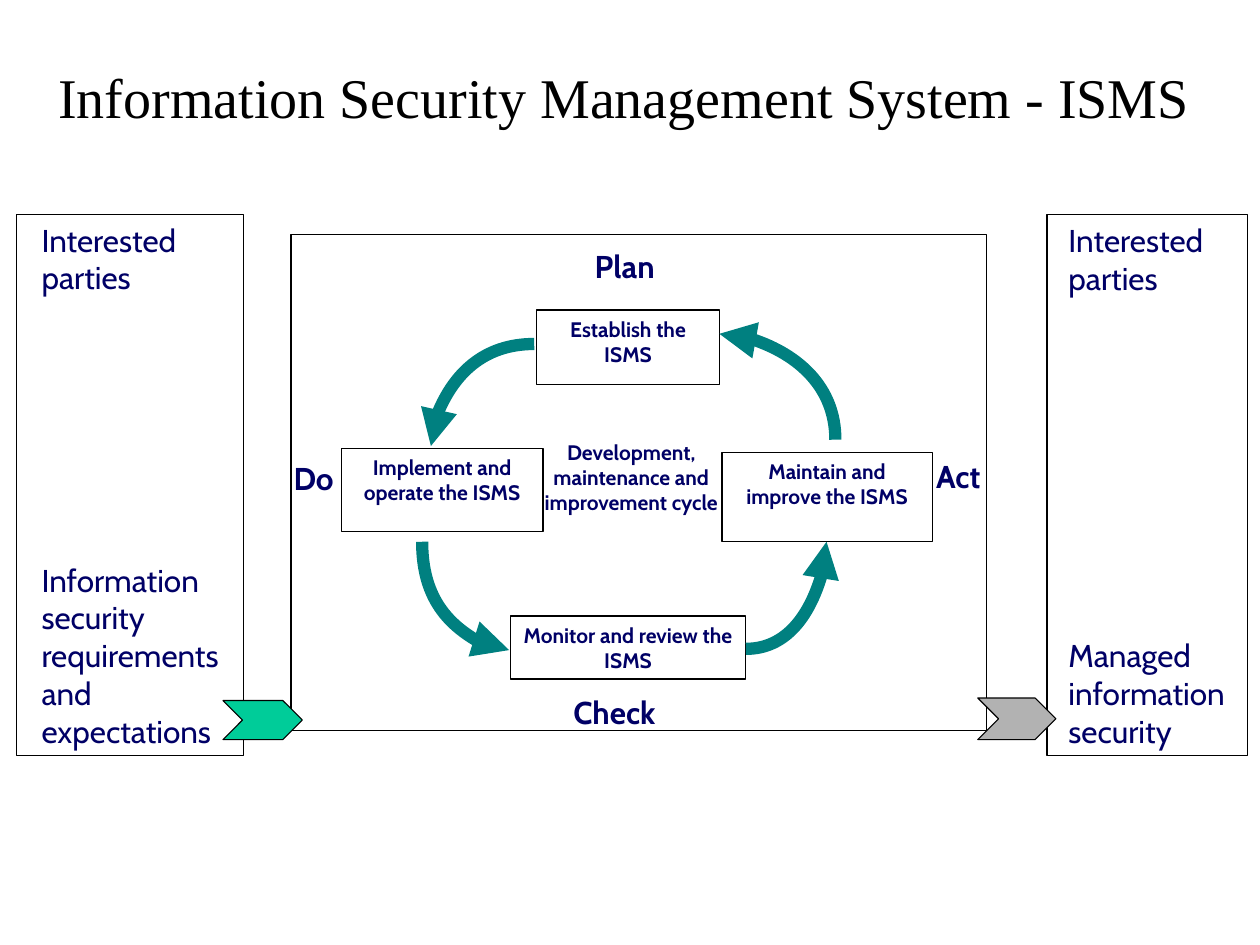
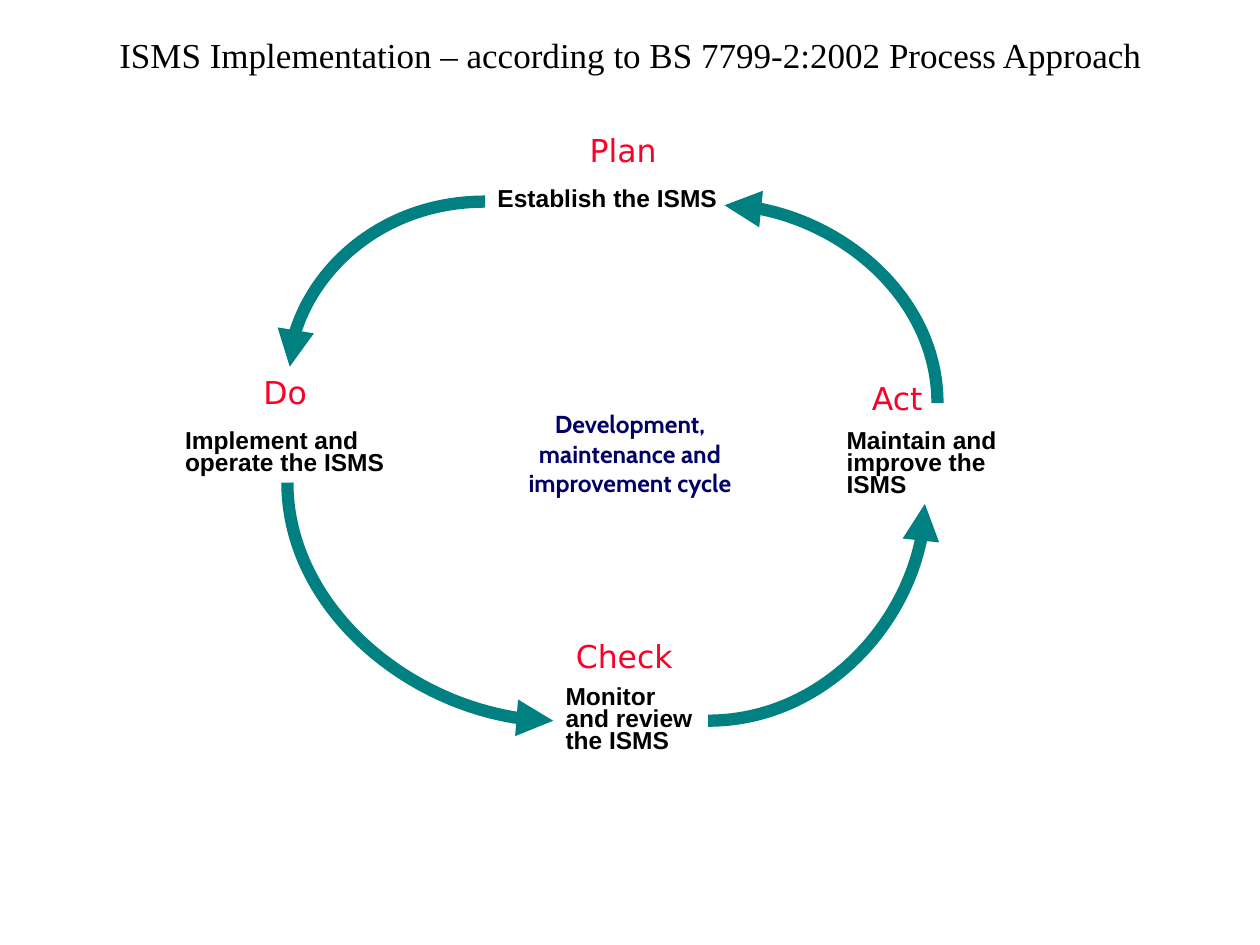
from typing import NamedTuple

from lxml.etree import SubElement
from pptx import Presentation
from pptx.dml.color import RGBColor
from pptx.enum.shapes import MSO_CONNECTOR, MSO_SHAPE
from pptx.enum.text import MSO_ANCHOR, PP_ALIGN
from pptx.oxml.ns import qn
from pptx.util import Inches, Pt

NAVY, BLACK, WHITE, RED = "000066", "000000", "FFFFFF", "FC0128"
TEAL, GREEN, GREY = "008080", "00CC99", "B2B2B2"


class Area(NamedTuple):
    left: float
    top: float
    width: float
    height: float


class Style(NamedTuple):
    font: str
    size: float
    color: str
    bold: bool = False
    align: PP_ALIGN = PP_ALIGN.LEFT
    spacing: float = 1.0


class Caption(NamedTuple):
    text: str
    area: Area


class Party(NamedTuple):
    need: str
    area: Area
    inset: float
    gap: float


class Arrow(NamedTuple):
    start: tuple[float, float]
    end: tuple[float, float]
    leaves_vertically: bool = False


class Chevron(NamedTuple):
    area: Area
    color: str


PARTY = Style("Cabin", 18, NAVY)
PHASE = Style("Cabin", 18, NAVY, bold=True)
STEP = Style("Cabin", 12, NAVY, bold=True, align=PP_ALIGN.CENTER)
CYCLE = STEP._replace(size=14)
RED_PHASE = Style("DejaVu Sans", 18, RED)
PLAIN_STEP = Style("Arial", 14, BLACK, bold=True, spacing=0.75)
PHASE_INDENT = 0.26
CYCLE_TEXT = "Development, maintenance and improvement cycle"

PARTIES = [
    Party("Managed information security", Area(8.31, 1.7, 1.59, 4.3), 0.17, 194),
    Party("Information security requirements and expectations",
          Area(0.13, 1.7, 1.8, 4.3), 0.2, 151),
]
PHASES = [
    Caption("Plan", Area(4.72, 1.96, 0.55, 0.3)),
    Caption("Do", Area(2.33, 3.64, 0.34, 0.3)),
    Caption("Check", Area(4.55, 5.5, 0.88, 0.3)),
    Caption("Act", Area(7.43, 3.63, 0.41, 0.3)),
]
STEPS = [
    Caption("Implement and operate the ISMS", Area(2.71, 3.56, 1.6, 0.66)),
    Caption("Maintain and improve the ISMS", Area(5.73, 3.59, 1.67, 0.71)),
    Caption("Establish the ISMS", Area(4.26, 2.46, 1.45, 0.59)),
    Caption("Monitor and review the ISMS", Area(4.05, 4.89, 1.87, 0.5)),
]
CHEVRONS = [
    Chevron(Area(7.76, 5.54, 0.62, 0.33), GREY),
    Chevron(Area(1.77, 5.56, 0.63, 0.31), GREEN),
]
ISMS_ARROWS = [
    Arrow((4.24, 2.73), (3.42, 3.54)),
    Arrow((3.35, 4.3), (4.04, 5.16), leaves_vertically=True),
    Arrow((5.92, 5.15), (6.56, 4.3)),
    Arrow((6.63, 3.49), (5.71, 2.65), leaves_vertically=True),
]
RED_PHASES = [
    Caption("Plan", Area(4.42, 0.99, 1.17, 0.4)),
    Caption("Do", Area(1.83, 2.91, 0.95, 0.4)),
    Caption("Check", Area(4.31, 5.01, 1.22, 0.4)),
    Caption("Act", Area(6.66, 2.96, 1.31, 0.4)),
]
PLAIN_STEPS = [
    Caption("Establish the ISMS", Area(3.85, 1.46, 2.26, 0.27)),
    Caption("Implement and operate the ISMS", Area(1.37, 3.38, 1.82, 0.45)),
    Caption("Monitor and review the ISMS", Area(4.39, 5.41, 1.24, 0.62)),
    Caption("Maintain and improve the ISMS", Area(6.62, 3.38, 1.45, 0.62)),
]
PROCESS_ARROWS = [
    Arrow((3.85, 1.6), (2.3, 2.91)),
    Arrow((2.28, 3.83), (4.39, 5.72), leaves_vertically=True),
    Arrow((5.62, 5.72), (7.34, 4)),
    Arrow((7.44, 3.2), (5.75, 1.63), leaves_vertically=True),
]


def rgb(color: str) -> RGBColor:
    return RGBColor.from_string(color)


def inches(area: Area) -> list[int]:
    return [Inches(length) for length in area]


def style_paragraph(paragraph, style: Style) -> None:
    paragraph.alignment = style.align
    paragraph.line_spacing = style.spacing
    for run in paragraph.runs:
        run.font.name = style.font
        run.font.size = Pt(style.size)
        run.font.bold = style.bold
        run.font.color.rgb = rgb(style.color)


def write(shape, text: str, style: Style, anchor=MSO_ANCHOR.TOP) -> None:
    frame = shape.text_frame
    frame.word_wrap = True
    frame.vertical_anchor = anchor
    frame.text = text
    for paragraph in frame.paragraphs:
        style_paragraph(paragraph, style)


def add_label(slide, caption: Caption, style: Style, anchor=MSO_ANCHOR.TOP):
    label = slide.shapes.add_textbox(*inches(caption.area))
    write(label, caption.text, style, anchor)
    return label


def add_title(slide, caption: Caption, size: float) -> None:
    style = Style("Times New Roman", size, BLACK, align=PP_ALIGN.CENTER)
    add_label(slide, caption, style, MSO_ANCHOR.MIDDLE)


def add_outlined(slide, area: Area, fill: str | None = WHITE,
                 weight: float = 0.75, kind=MSO_SHAPE.RECTANGLE):
    shape = slide.shapes.add_shape(kind, *inches(area))
    shape.shadow.inherit = False
    if fill:
        shape.fill.solid()
        shape.fill.fore_color.rgb = rgb(fill)
    else:
        shape.fill.background()
    shape.line.color.rgb = rgb(BLACK)
    shape.line.width = Pt(weight)
    return shape


def add_party(slide, party: Party) -> None:
    panel = add_outlined(slide, party.area, weight=0.62)
    panel.text_frame.margin_left = Inches(party.inset)
    write(panel, f"Interested parties\n{party.need}", PARTY, MSO_ANCHOR.MIDDLE)
    panel.text_frame.paragraphs[1].space_before = Pt(party.gap)


def add_phase(slide, caption: Caption) -> None:
    frame = add_label(slide, caption, PHASE).text_frame
    frame.margin_left = frame.margin_right = 0
    frame.margin_top = frame.margin_bottom = 0
    frame.word_wrap = False


def add_arrow(slide, arrow: Arrow) -> None:
    (x1, y1), (x2, y2) = arrow.start, arrow.end
    half_x, half_y = (x2 - x1) / 2, (y2 - y1) / 2
    center_x, center_y = (x1 + x2) / 2, (y1 + y2) / 2
    if arrow.leaves_vertically:
        half_x, half_y = -half_y, half_x
    curve = slide.shapes.add_connector(
        MSO_CONNECTOR.CURVE,
        Inches(center_x - half_x), Inches(center_y - half_y),
        Inches(center_x + half_x), Inches(center_y + half_y))
    curve.line.color.rgb = rgb(TEAL)
    curve.line.width = Pt(7)
    properties = curve._element.spPr
    properties.find(qn("a:prstGeom")).set("prst", "curvedConnector2")
    if arrow.leaves_vertically:
        properties.find(qn("a:xfrm")).set("rot", "16200000")
    SubElement(properties.find(qn("a:ln")), qn("a:tailEnd"), type="triangle")
    SubElement(properties, qn("a:effectLst"))


def build_isms_slide(slide) -> None:
    add_outlined(slide, Area(2.31, 1.86, 5.52, 3.94), fill=None)
    add_title(slide, Caption("Information Security Management System - ISMS",
                             Area(0.08, 0.33, 9.75, 0.87)), 32)
    for party in PARTIES:
        add_party(slide, party)
    for phase in PHASES:
        add_phase(slide, phase)
    for step in STEPS:
        write(add_outlined(slide, step.area), step.text, STEP)
    add_label(slide, Caption(CYCLE_TEXT, Area(4.2, 3.44, 1.62, 1.1)), STEP)
    for chevron in CHEVRONS:
        add_outlined(slide, chevron.area, chevron.color, 0.62, MSO_SHAPE.CHEVRON)
    for arrow in ISMS_ARROWS:
        add_arrow(slide, arrow)


def build_process_slide(slide) -> None:
    add_label(slide, Caption(CYCLE_TEXT, Area(4.02, 3.2, 1.96, 1.04)), CYCLE)
    for phase in RED_PHASES:
        label = add_label(slide, phase, RED_PHASE)
        label.text_frame.margin_left = Inches(PHASE_INDENT)
    for step in PLAIN_STEPS:
        add_label(slide, step, PLAIN_STEP)
    for arrow in PROCESS_ARROWS:
        add_arrow(slide, arrow)
    add_title(slide, Caption(
        "ISMS Implementation – according to BS 7799-2:2002 Process Approach",
        Area(0.17, 0, 9.67, 0.87)), 20)


def main() -> None:
    deck = Presentation()
    deck.slide_width, deck.slide_height = Inches(10), Inches(7.5)
    for build in (build_isms_slide, build_process_slide):
        build(deck.slides.add_slide(deck.slide_layouts[6]))
    deck.save("out.pptx")


if __name__ == "__main__":
    main()
